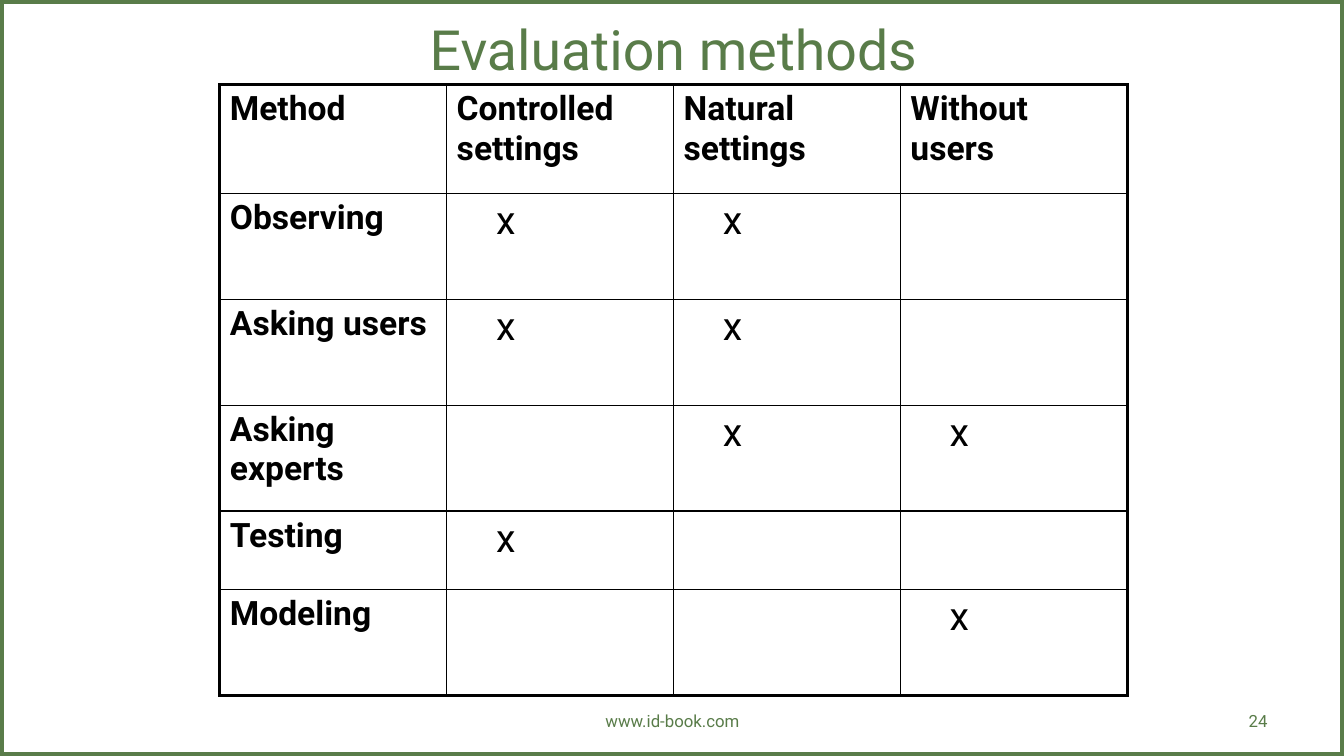
from lxml import etree
from pptx import Presentation
from pptx.dml.color import RGBColor
from pptx.enum.shapes import MSO_SHAPE
from pptx.enum.text import MSO_ANCHOR, MSO_AUTO_SIZE, PP_ALIGN
from pptx.oxml.ns import qn
from pptx.util import Inches, Pt

COLORS = {"green": "597C49", "black": "000000"}
FONT = "Roboto"

SETTINGS = ["Controlled settings", "Natural settings", "Without users"]
METHODS = [
    ("Observing", "xx "),
    ("Asking users", "xx "),
    ("Asking experts", " xx"),
    ("Testing", "x  "),
    ("Modeling", "  x"),
]
ROW_HEIGHTS = [1.08, 1.05, 1.05, 1.05, 0.78, 1.05]
COL_WIDTH = 2.25


def color(name):
    return RGBColor.from_string(COLORS[name])


def write(tf, text, size=12, fill="green", bold=False, align=PP_ALIGN.LEFT):
    p = tf.paragraphs[0]
    p.alignment = align
    p.space_before = Pt(0)
    r = p.add_run()
    r.text = text
    r.font.name = FONT
    r.font.size = Pt(size)
    r.font.bold = bold
    r.font.color.rgb = color(fill)


def place(sp, left, top, width, height):
    sp.left, sp.top = Inches(left), Inches(top)
    sp.width, sp.height = Inches(width), Inches(height)


def add_frame(s, prs):
    sp = s.shapes.add_shape(MSO_SHAPE.RECTANGLE, 0, 0, prs.slide_width, prs.slide_height)
    sp.shadow.inherit = False
    sp.fill.background()
    sp.line.color.rgb = color("green")
    sp.line.width = Pt(6)


def add_title(s, text):
    sp = s.shapes.title
    place(sp, 2.18, 0.13, 9, 0.7)
    tf = sp.text_frame
    tf.auto_size = MSO_AUTO_SIZE.NONE
    tf.vertical_anchor = MSO_ANCHOR.MIDDLE
    write(tf, text, size=39.6, align=PP_ALIGN.CENTER)


def add_footer(s, text, left, width, align):
    sp = s.shapes.add_textbox(Inches(left), Inches(6.95), Inches(width), Inches(0.4))
    tf = sp.text_frame
    tf.word_wrap = True
    tf.vertical_anchor = MSO_ANCHOR.MIDDLE
    write(tf, text, align=align)


def set_borders(cell, outer_sides):
    """Thick lines on the outer sides, thin ones elsewhere."""
    tcPr = cell._tc.get_or_add_tcPr()
    for i, side in enumerate("LRTB"):
        ln = etree.Element(qn(f"a:ln{side}"))
        ln.set("w", str(Pt(2.25 if side in outer_sides else 1)))
        solid = etree.SubElement(ln, qn("a:solidFill"))
        etree.SubElement(solid, qn("a:srgbClr")).set("val", COLORS["black"])
        tcPr.insert(i, ln)


def add_methods_table(s):
    rows = [["Method", *SETTINGS]] + [[name, *marks] for name, marks in METHODS]
    n_rows, n_cols = len(rows), len(rows[0])
    table = s.shapes.add_table(n_rows, n_cols, Inches(2.18), Inches(0.84),
                               Inches(COL_WIDTH * n_cols), Inches(sum(ROW_HEIGHTS))).table
    table.first_row = table.horz_banding = False
    for col in table.columns:
        col.width = Inches(COL_WIDTH)
    for i, values in enumerate(rows):
        table.rows[i].height = Inches(ROW_HEIGHTS[i])
        for j, text in enumerate(values):
            cell = table.cell(i, j)
            cell.fill.background()
            edges = {"L": j == 0, "R": j == n_cols - 1, "T": i == 0, "B": i == n_rows - 1}
            set_borders(cell, [side for side, outer in edges.items() if outer])
            if text == "x":
                cell.margin_left = Inches(0.49)
                write(cell.text_frame, text, size=28, fill="black")
            elif text.strip():
                write(cell.text_frame, text, size=24, fill="black", bold=True)


def main():
    prs = Presentation()
    prs.slide_width, prs.slide_height = Inches(13.33), Inches(7.5)
    s = prs.slides.add_slide(prs.slide_layouts[5])

    # Frame and title
    add_frame(s, prs)
    add_title(s, "Evaluation methods")

    # Methods by setting
    add_methods_table(s)

    # Footer
    add_footer(s, "www.id-book.com", 4.56, 4.22, PP_ALIGN.CENTER)
    add_footer(s, "24", 9.56, 3.11, PP_ALIGN.RIGHT)

    prs.save("out.pptx")


if __name__ == "__main__":
    main()
